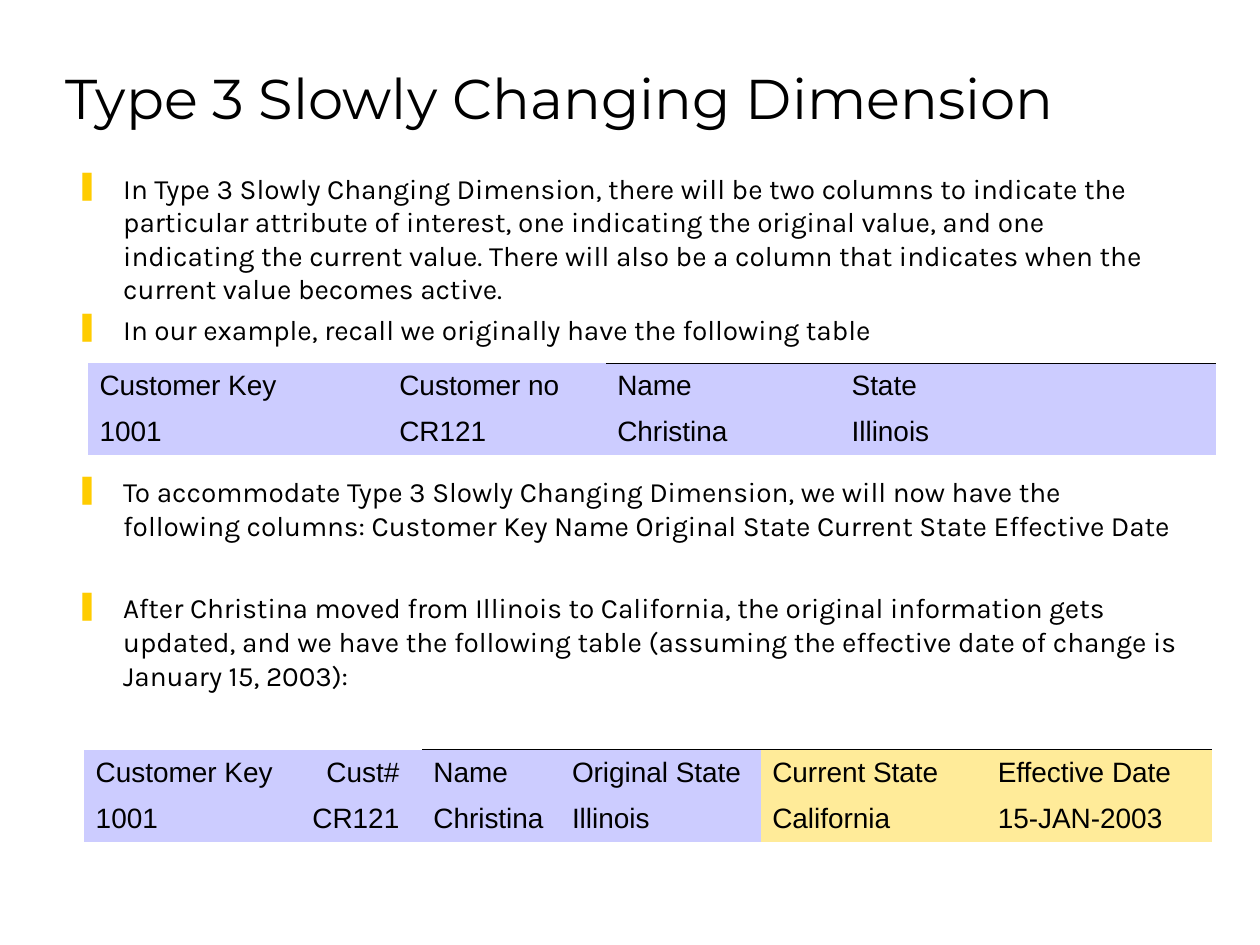
from lxml import etree
from pptx import Presentation
from pptx.dml.color import RGBColor
from pptx.enum.text import MSO_ANCHOR, MSO_AUTO_SIZE, PP_ALIGN
from pptx.oxml.ns import qn
from pptx.util import Inches, Pt

COLORS = {"text": "000000", "bullet": "FFCC00", "old": "CCCCFF", "new": "FFEB99"}

TITLE = "Type 3 Slowly Changing Dimension"
BULLETS = [
    (0, "In Type 3 Slowly Changing Dimension, there will be two columns to indicate the "
        "particular attribute of interest, one indicating the original value, and one "
        "indicating the current value. There will also be a column that indicates when "
        "the current value becomes active."),
    (4, "In our example, recall we originally have the following table"),
    (73.5, "To accommodate Type 3 Slowly Changing Dimension, we will now have the following "
           "columns: Customer Key Name Original State Current State Effective Date"),
    (28, "After Christina moved from Illinois to California, the original information gets "
         "updated, and we have the following table (assuming the effective date of change "
         "is January 15, 2003):"),
]
TABLES = [
    {"at": (0.7, 2.88), "cols": [4.11, 1.86, 2.98], "tab": (2.38, "l"),
     "fills": ["old"] * 3,
     "rows": [["Customer Key\tCustomer no", "Name", "State"],
              ["1001\tCR121", "Christina", "Illinois"]]},
    {"at": (0.67, 5.95), "cols": [2.68, 1.1, 1.59, 1.79, 1.79], "tab": (2.41, "r"),
     "fills": ["old"] * 3 + ["new"] * 2,
     "rows": [["Customer Key\tCust#", "Name", "Original State", "Current State", "Effective Date"],
              ["1001\tCR121", "Christina", "Illinois", "California", "15-JAN-2003"]]},
]
ROW_H = 0.36


def rgb(name):
    return RGBColor.from_string(COLORS[name])


def add(parent, tag, **attrs):
    el = etree.SubElement(parent, qn(tag))
    for key, value in attrs.items():
        el.set(key, str(value))
    return el


def add_run(p, text, font, size):
    r = p.add_run()
    r.text = text
    r.font.name, r.font.size = font, Pt(size)
    r.font.color.rgb = rgb("text")


def add_bullet(p):
    pPr = p._p.get_or_add_pPr()
    pPr.set("marL", str(Inches(0.38)))
    pPr.set("indent", str(-Inches(0.38)))
    add(add(pPr, "a:buClr"), "a:srgbClr", val=COLORS["bullet"])
    add(pPr, "a:buChar", char="❚")


def add_tab(p, pos, align):
    tabs = add(p._p.get_or_add_pPr(), "a:tabLst")
    add(tabs, "a:tab", pos=Inches(pos), algn=align)


def set_borders(cell, top_line):
    tcPr = cell._tc.get_or_add_tcPr()
    for side in ("L", "R", "T", "B"):
        if side == "T" and top_line:
            ln = add(tcPr, "a:lnT", w=Pt(0.45))
            add(add(ln, "a:solidFill"), "a:srgbClr", val=COLORS["text"])
        else:
            add(add(tcPr, f"a:ln{side}", w=0), "a:noFill")


def add_table(s, data):
    rows, cols = data["rows"], data["cols"]
    left, top = data["at"]
    table = s.shapes.add_table(len(rows), len(cols), Inches(left), Inches(top),
                               Inches(sum(cols)), Inches(ROW_H * len(rows))).table
    table.first_row = table.horz_banding = False
    for col, width in zip(table.columns, cols):
        col.width = Inches(width)
    for i, row in enumerate(rows):
        for j, text in enumerate(row):
            cell = table.cell(i, j)
            set_borders(cell, i == 0 and j > 0)
            cell.fill.solid()
            cell.fill.fore_color.rgb = rgb(data["fills"][j])
            cell.vertical_anchor = MSO_ANCHOR.MIDDLE
            cell.margin_left = cell.margin_right = Inches(0.09)
            cell.margin_top = cell.margin_bottom = Inches(0.05)
            p = cell.text_frame.paragraphs[0]
            if "\t" in text:
                add_tab(p, *data["tab"])
            add_run(p, text, "Arial", 16)


def main():
    prs = Presentation()
    prs.slide_width, prs.slide_height = Inches(10), Inches(7.5)
    s = prs.slides.add_slide(prs.slide_layouts[5])

    title = s.shapes.title
    title.left, title.top = Inches(0.42), Inches(0.17)
    title.width, title.height = Inches(9.15), Inches(0.92)
    tf = title.text_frame
    tf.auto_size = MSO_AUTO_SIZE.NONE
    tf.vertical_anchor = MSO_ANCHOR.BOTTOM
    p = tf.paragraphs[0]
    p.alignment = PP_ALIGN.LEFT
    add_run(p, TITLE, "Montserrat", 32)

    tf = s.shapes.add_textbox(Inches(0.5), Inches(1.31), Inches(8.94), Inches(4.56)).text_frame
    tf.word_wrap = True
    for i, (gap, text) in enumerate(BULLETS):
        p = tf.add_paragraph() if i else tf.paragraphs[0]
        p.space_before = Pt(gap)
        add_bullet(p)
        add_run(p, text, "Karla", 16)

    for data in TABLES:
        add_table(s, data)

    prs.save("out.pptx")


if __name__ == "__main__":
    main()
